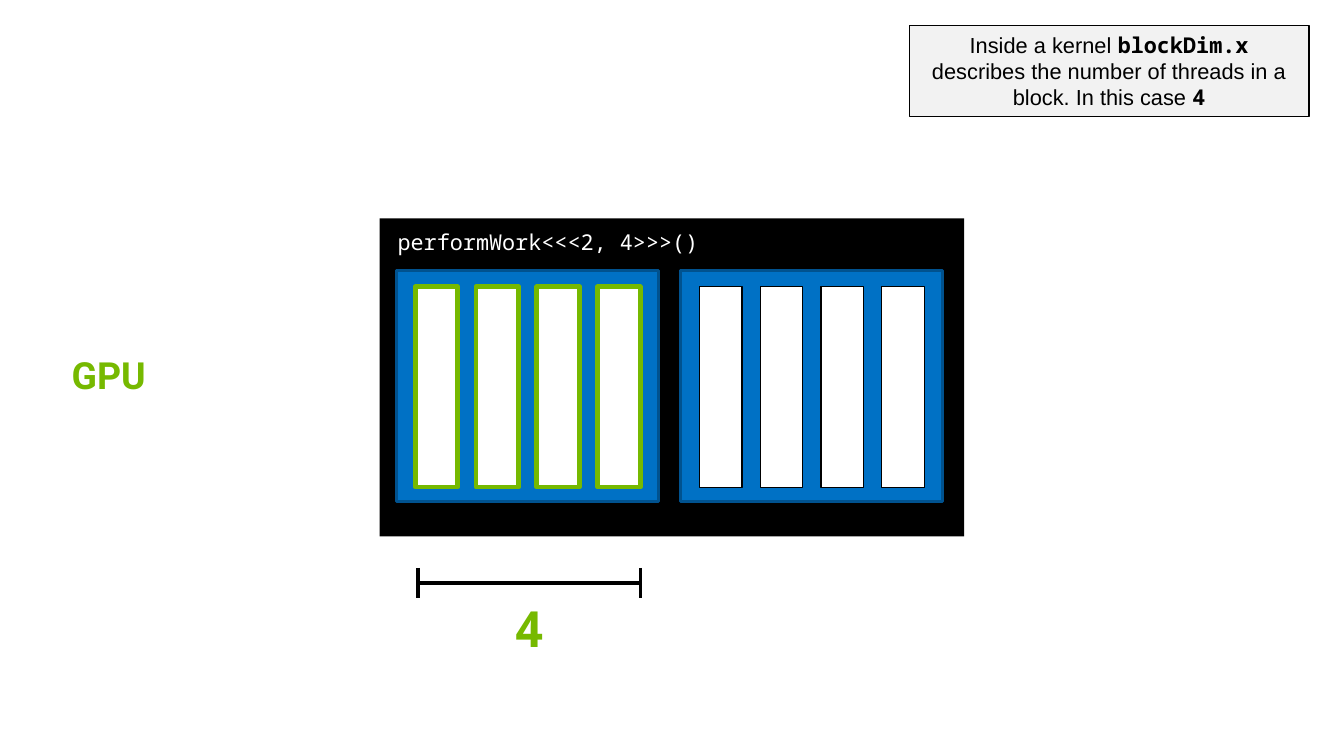
from lxml.etree import SubElement
from pptx import Presentation
from pptx.dml.color import RGBColor
from pptx.enum.shapes import MSO_CONNECTOR, MSO_SHAPE
from pptx.enum.text import MSO_ANCHOR, MSO_AUTO_SIZE, PP_ALIGN
from pptx.oxml.ns import qn
from pptx.util import Pt

BLACK = RGBColor(0x00, 0x00, 0x00)
WHITE = RGBColor(0xFF, 0xFF, 0xFF)
GREEN = RGBColor(0x76, 0xB9, 0x00)
BLUE = RGBColor(0x00, 0x71, 0xC5)
DARK_BLUE = RGBColor(0x00, 0x52, 0x8F)
LIGHT_GRAY = RGBColor(0xF2, 0xF2, 0xF2)

MONO = "Noto Sans Mono"
BLOCKS, THREADS = 2, 4


def add_rect(s, x, y, w, h, fill, line=None, weight=0.75):
    sp = s.shapes.add_shape(MSO_SHAPE.RECTANGLE, Pt(x), Pt(y), Pt(w), Pt(h))
    sp.shadow.inherit = False
    sp.fill.solid()
    sp.fill.fore_color.rgb = fill
    if line is None:
        sp.line.fill.background()
    else:
        sp.line.color.rgb = line
        sp.line.width = Pt(weight)
    return sp


def add_line(s, x1, y1, x2, y2):
    cx = s.shapes.add_connector(MSO_CONNECTOR.STRAIGHT, Pt(x1), Pt(y1), Pt(x2), Pt(y2))
    SubElement(cx._element.spPr, qn("a:effectLst"))
    cx.line.color.rgb = BLACK
    cx.line.width = Pt(2.25)


def write(sp, runs, size, color, align, anchor, spacing=1.0):
    """Fill a shape with one paragraph of (text, font, bold) runs."""
    tf = sp.text_frame
    frame = {"word_wrap": True, "auto_size": MSO_AUTO_SIZE.NONE,
             "vertical_anchor": anchor,
             "margin_left": Pt(7.2), "margin_right": Pt(7.2),
             "margin_top": Pt(3.6), "margin_bottom": Pt(3.6)}
    for name, value in frame.items():
        setattr(tf, name, value)
    p = tf.paragraphs[0]
    p.alignment, p.line_spacing = align, spacing
    for text, font, bold in runs:
        r = p.add_run()
        r.text = text
        for name, value in {"name": font, "size": Pt(size), "bold": bold}.items():
            setattr(r.font, name, value)
        r.font.color.rgb = color


def place_title(s, x, y, w, h):
    sp = s.shapes.title
    for name, value in {"left": x, "top": y, "width": w, "height": h}.items():
        setattr(sp, name, Pt(value))
    write(sp, [("GPU", "Roboto", True)], 24, GREEN,
          PP_ALIGN.LEFT, MSO_ANCHOR.BOTTOM, 0.9)


def add_note(s, x, y, w, h):
    runs = [("Inside a kernel ", "Arial", False),
            ("blockDim.x", MONO, True),
            (" describes the number of threads in a block. In this case ", "Arial", False),
            ("4", MONO, True)]
    write(add_rect(s, x, y, w, h, LIGHT_GRAY, BLACK), runs, 14, BLACK,
          PP_ALIGN.CENTER, MSO_ANCHOR.TOP)


def add_block(s, x, y, w, h, line, weight):
    """Draw a block with its threads evenly spaced inside."""
    add_rect(s, x, y, w, h, BLUE, DARK_BLUE, 2)
    inset, thread_w = 11.9, 27.4
    pitch = (w - 2 * inset - thread_w) / (THREADS - 1)
    for i in range(THREADS):
        add_rect(s, x + inset + i * pitch, y + 10.1, thread_w, h - 19.4,
                 WHITE, line, weight)


def add_kernel(s, x, y, w, h):
    add_rect(s, x, y, w, h, BLACK)
    label = add_rect(s, x + 4.4, y + 2.9, 220.3, 24.5, BLACK)
    write(label, [(f"performWork<<<{BLOCKS}, {THREADS}>>>()", MONO, False)], 14, WHITE,
          PP_ALIGN.LEFT, MSO_ANCHOR.MIDDLE)
    for i in range(BLOCKS):
        line, weight = (GREEN, 3) if i == 0 else (BLACK, 0.75)
        add_block(s, x + 10.9 + i * 182.7, y + 33.8, 168.5, 148.3, line, weight)


def add_dimension(s, x, y, w, h):
    """Draw a measuring bar with end ticks and the thread count below it."""
    tick, label_w, label_h = 19.4, 37.4, 46
    sp = s.shapes.add_textbox(Pt(x + (w - label_w) / 2), Pt(y + h - label_h),
                              Pt(label_w), Pt(label_h))
    write(sp, [(str(THREADS), MONO, True)], 32, GREEN,
          PP_ALIGN.CENTER, MSO_ANCHOR.MIDDLE)
    add_line(s, x, y + tick / 2, x + w, y + tick / 2)
    for end in (x, x + w):
        add_line(s, end, y, end, y + tick)


def main():
    prs = Presentation()
    prs.slide_width, prs.slide_height = Pt(864), Pt(486)
    s = prs.slides.add_slide(prs.slide_layouts[5])
    place_title(s, 38.9, 226.1, 69.8, 33.1)
    add_kernel(s, 244.1, 140.4, 375.8, 204.5)
    add_note(s, 584.6, 16.6, 257, 58.3)
    add_dimension(s, 268.6, 365, 143.3, 61.2)
    prs.save("out.pptx")


if __name__ == "__main__":
    main()
